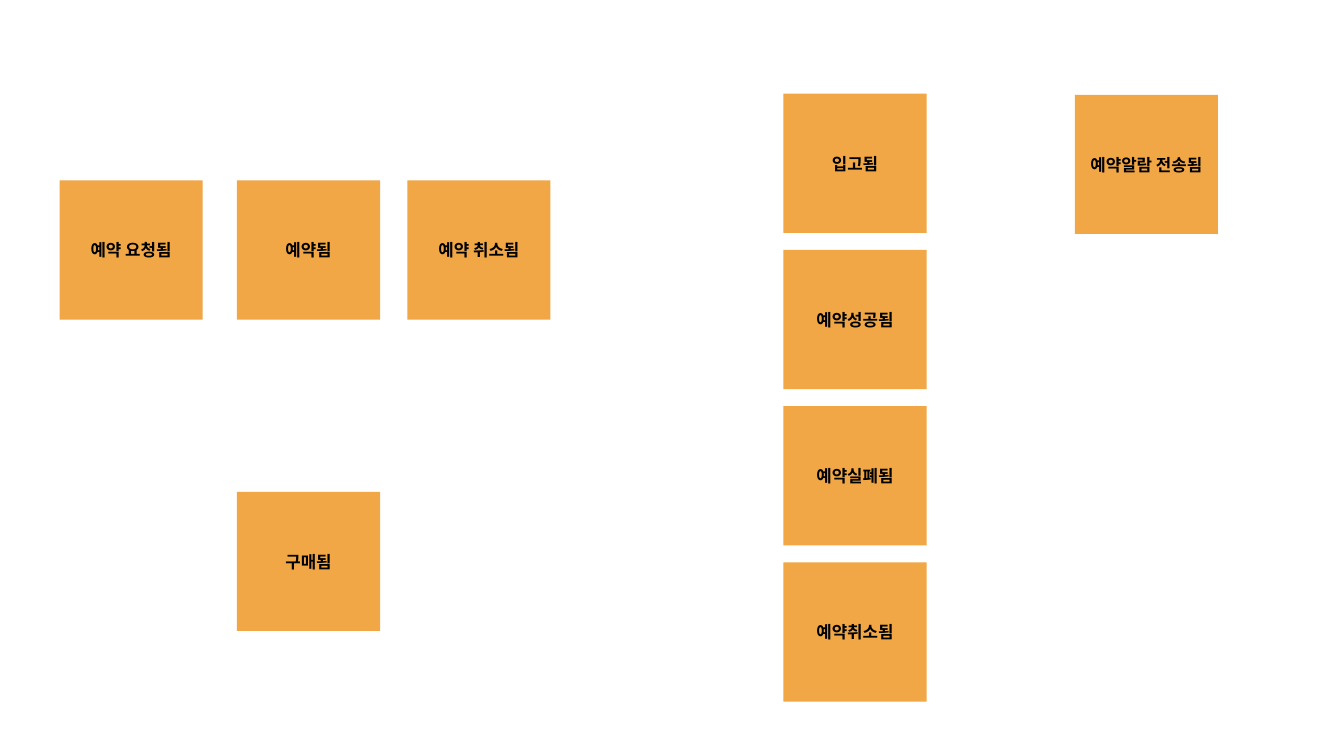
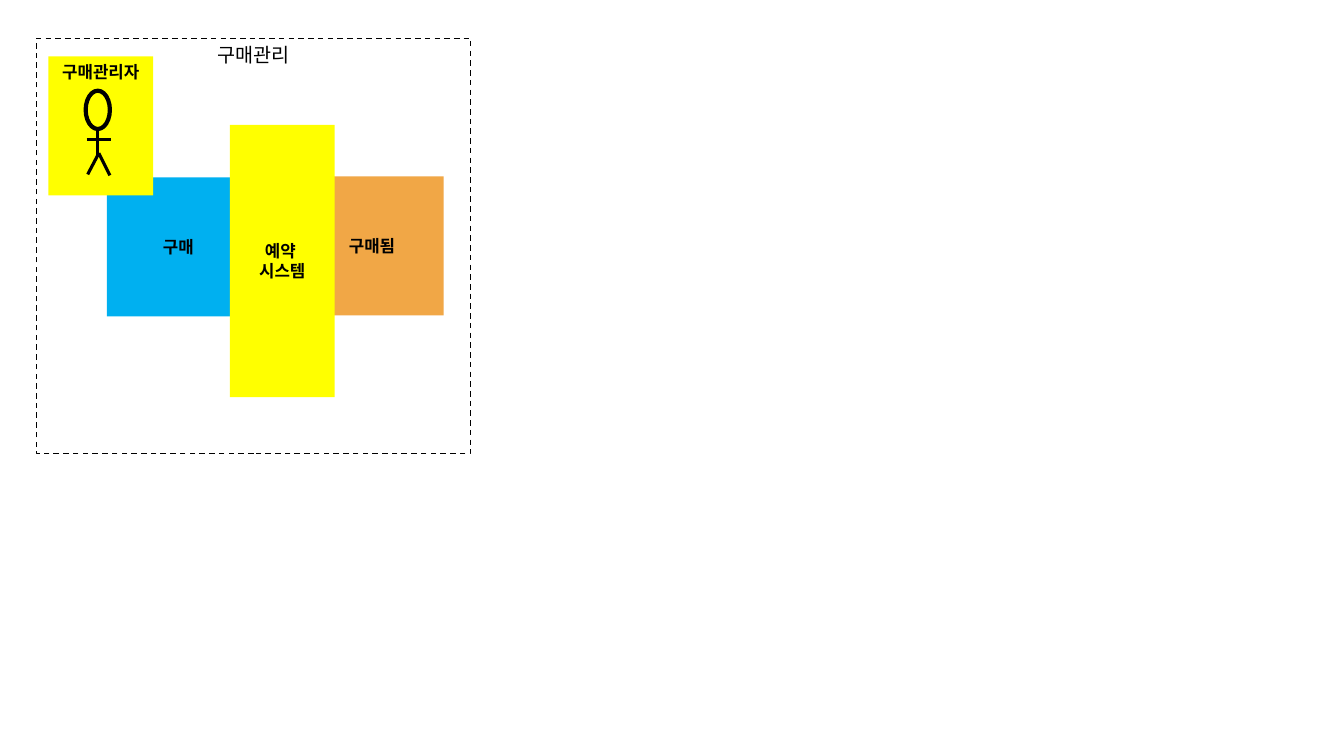
from dataclasses import dataclass
from typing import Optional

from lxml.etree import SubElement
from pptx import Presentation
from pptx.dml.color import RGBColor
from pptx.enum.dml import MSO_LINE
from pptx.enum.shapes import MSO_CONNECTOR, MSO_SHAPE
from pptx.enum.text import MSO_ANCHOR, PP_ALIGN
from pptx.oxml.ns import qn
from pptx.util import Inches, Pt

ORANGE = RGBColor(0xF1, 0xA7, 0x46)
BLUE = RGBColor(0x00, 0xB0, 0xF0)
YELLOW = RGBColor(0xFF, 0xFF, 0x00)
BLACK = RGBColor(0x00, 0x00, 0x00)

FONT = "Noto Sans CJK KR"
NOTE_FORMAT = {"name": FONT, "size": Pt(12), "bold": True}
CONTEXT_FORMAT = {"name": FONT, "size": Pt(14), "bold": False}

NOTE_WIDTH, NOTE_HEIGHT = 1.42, 1.38
NARROW_WIDTH = 1.04


@dataclass(frozen=True)
class Note:
    """A sticky note or outlined area; lengths in inches."""
    left: float
    top: float
    text: str = ""
    fill: Optional[RGBColor] = ORANGE
    width: float = NOTE_WIDTH
    height: float = NOTE_HEIGHT
    anchor: MSO_ANCHOR = MSO_ANCHOR.MIDDLE
    outline: float = 0
    dash: Optional[MSO_LINE] = None
    outline_shape: MSO_SHAPE = MSO_SHAPE.RECTANGLE


@dataclass(frozen=True)
class Limb:
    x1: float
    y1: float
    x2: float
    y2: float


def write_label(note_shape, note: Note, text_format: dict) -> None:
    frame = note_shape.text_frame
    frame.word_wrap = True
    frame.vertical_anchor = note.anchor
    paragraph = frame.paragraphs[0]
    paragraph.text = note.text
    paragraph.alignment = PP_ALIGN.CENTER
    for run in paragraph.runs:
        for attribute, value in text_format.items():
            setattr(run.font, attribute, value)
        run.font.color.rgb = BLACK
        # Korean text takes the East Asian typeface
        SubElement(run.font._element, qn("a:ea"), typeface=FONT)


def draw_note(shapes, note: Note, text_format: dict = NOTE_FORMAT) -> None:
    box = shapes.add_shape(note.outline_shape, Inches(note.left), Inches(note.top),
                           Inches(note.width), Inches(note.height))
    box.shadow.inherit = False
    if note.fill is None:
        box.fill.background()
    else:
        box.fill.solid()
        box.fill.fore_color.rgb = note.fill
    if note.outline:
        box.line.color.rgb = BLACK
        box.line.width = Pt(note.outline)
        if note.dash is not None:
            box.line.dash_style = note.dash
    else:
        box.line.fill.background()
    if note.text:
        write_label(box, note, text_format)


def draw_limb(shapes, limb: Limb) -> None:
    line = shapes.add_connector(MSO_CONNECTOR.STRAIGHT, Inches(limb.x1), Inches(limb.y1),
                                Inches(limb.x2), Inches(limb.y2))
    line.line.color.rgb = BLACK
    line.line.width = Pt(2.25)
    SubElement(line._element.spPr, qn("a:effectLst"))


def draw_events(slide) -> None:
    # Reservation and purchase events
    for left, text in ((0.59, "예약 요청됨"), (2.35, "예약됨"), (4.04, "예약 취소됨")):
        draw_note(slide.shapes, Note(left, 1.79, text))
    draw_note(slide.shapes, Note(2.35, 4.88, "구매됨"))

    # Stock events, stacked at an equal pitch
    stock_top, stock_pitch = 0.93, 1.55
    for row, text in enumerate(("입고됨", "예약성공됨", "예약실폐됨", "예약취소됨")):
        draw_note(slide.shapes, Note(7.77, stock_top + row * stock_pitch, text))

    # Alarm event
    draw_note(slide.shapes, Note(10.66, 0.94, "예약알람 전송됨"))


def draw_manager(slide) -> None:
    manager = slide.shapes.add_group_shape().shapes
    draw_note(manager, Note(0.48, 0.56, "구매관리자", YELLOW, NARROW_WIDTH,
                            anchor=MSO_ANCHOR.TOP))
    # Stick figure: head, then arms, body and legs
    draw_note(manager, Note(0.85, 0.9, fill=None, width=0.24, height=0.38,
                            outline=3, outline_shape=MSO_SHAPE.OVAL))
    for limb in (Limb(0.86, 1.38, 1.1, 1.38), Limb(0.97, 1.27, 0.97, 1.56),
                 Limb(0.97, 1.54, 0.87, 1.73), Limb(0.98, 1.52, 1.09, 1.74)):
        draw_limb(manager, limb)


def draw_purchase_context(slide) -> None:
    # Event and command
    draw_note(slide.shapes, Note(2.98, 1.75, "구매됨"))
    draw_note(slide.shapes, Note(1.06, 1.76, "구매", BLUE))

    # Actor and system
    draw_manager(slide)
    draw_note(slide.shapes, Note(2.28, 1.24, "예약 \v시스템", YELLOW, NARROW_WIDTH, 2.7))

    # Context boundary
    boundary = Note(0.36, 0.38, "구매관리", None, 4.31, 4.12, MSO_ANCHOR.TOP,
                    outline=1, dash=MSO_LINE.DASH)
    draw_note(slide.shapes, boundary, CONTEXT_FORMAT)


def main() -> None:
    deck = Presentation()
    deck.slide_width, deck.slide_height = Inches(13.33), Inches(7.5)
    blank = deck.slide_layouts[6]
    for draw_slide in (draw_events, draw_purchase_context):
        draw_slide(deck.slides.add_slide(blank))
    deck.save("out.pptx")


if __name__ == "__main__":
    main()
